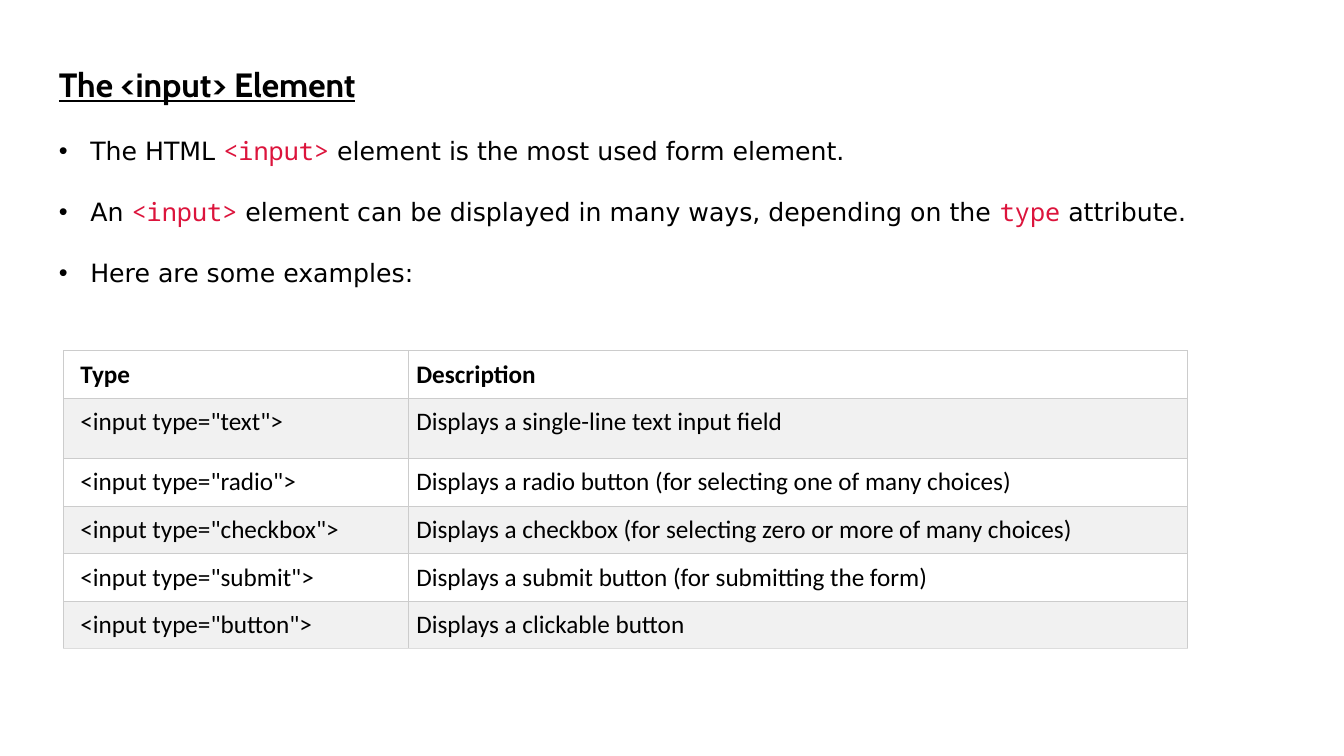
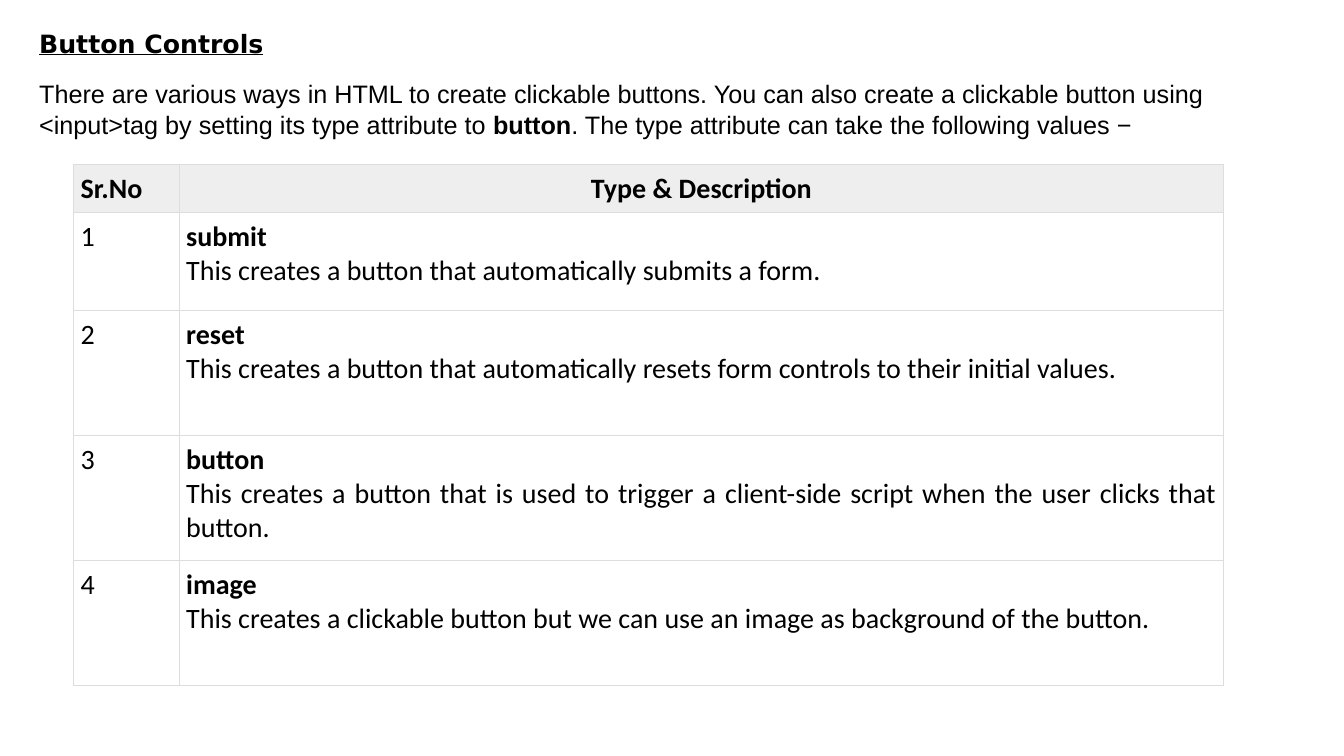
"""Build two slides on HTML input types and button controls."""
from dataclasses import dataclass

from lxml.etree import SubElement
from pptx import Presentation
from pptx.dml.color import RGBColor as Rgb
from pptx.enum.shapes import MSO_SHAPE as Shape
from pptx.enum.text import MSO_ANCHOR as Anchor, MSO_AUTO_SIZE as AutoSize, PP_ALIGN as Align
from pptx.oxml import parse_xml
from pptx.oxml.ns import nsdecls, qn
from pptx.util import Pt


@dataclass(frozen=True)
class Theme:
    ink: str = "000000"
    code: str = "DC143C"
    paper: str = "FFFFFF"
    stripe: str = "F1F1F1"
    header: str = "EEEEEE"
    edge: str = "CCCCCC"
    soft_edge: str = "DDDDDD"
    edge_width: float = 0.75
    title_size: int = 24
    body_size: int = 18
    table_size: int = 20
    bullet_gap: int = 22
    bullet_indent: float = 22.5

    def formats(self):
        body, large = Pt(self.body_size), Pt(self.table_size)
        return {
            "title": dict(name="Cabin", size=Pt(self.title_size), bold=True, underline=True),
            "heading": dict(name="DejaVu Sans", size=body, bold=True, underline=True),
            "bullet": dict(name="DejaVu Sans", size=body),
            "code": dict(name="Noto Sans Mono", size=body),
            "intro": dict(name="Arial", size=body),
            "intro strong": dict(name="Arial", size=body, bold=True),
            "cell": dict(name="Calibri", size=body),
            "cell strong": dict(name="Calibri", size=body, bold=True),
            "large": dict(name="Calibri", size=large),
            "large strong": dict(name="Calibri", size=large, bold=True),
        }


class Deck:
    def __init__(self, theme):
        self.theme = theme
        self.formats = theme.formats()
        self.prs = Presentation()
        self.prs.slide_width, self.prs.slide_height = Pt(960), Pt(540)
        self.slide = None

    def new_slide(self):
        self.slide = self.prs.slides.add_slide(self.prs.slide_layouts[6])

    def set_text(self, frame, paragraphs, align=Align.LEFT):
        for index, runs in enumerate(paragraphs):
            line = frame.add_paragraph() if index else frame.paragraphs[0]
            line.alignment = align
            for words, style in runs:
                run = line.add_run()
                run.text = words
                run.font.color.rgb = Rgb.from_string(
                    self.theme.code if style == "code" else self.theme.ink)
                for key, value in self.formats[style].items():
                    setattr(run.font, key, value)

    def text(self, box, paragraphs, wrap=True):
        frame = self.slide.shapes.add_textbox(*map(Pt, box)).text_frame
        frame.word_wrap = wrap
        frame.auto_size = AutoSize.SHAPE_TO_FIT_TEXT
        self.set_text(frame, paragraphs)

    def bullet_panel(self, box, title, bullets):
        panel = self.slide.shapes.add_shape(Shape.RECTANGLE, *map(Pt, box))
        panel.shadow.inherit = False
        panel.fill.solid()
        panel.fill.fore_color.rgb = Rgb.from_string(self.theme.paper)
        panel.line.fill.background()
        frame = panel.text_frame
        layout = dict(word_wrap=True, auto_size=AutoSize.SHAPE_TO_FIT_TEXT,
                      vertical_anchor=Anchor.MIDDLE, margin_left=0, margin_right=0,
                      margin_top=Pt(6), margin_bottom=Pt(6))
        for key, value in layout.items():
            setattr(frame, key, value)
        self.set_text(frame, [[(title, "title")], *bullets])
        indent = Pt(self.theme.bullet_indent)
        for line in frame.paragraphs[1:]:
            line.space_before = Pt(self.theme.bullet_gap)
            props = line._p.get_or_add_pPr()
            props.set("marL", str(indent))
            props.set("indent", str(-indent))
            SubElement(props, qn("a:buFont")).set("typeface", "Arial")
            SubElement(props, qn("a:buChar")).set("char", "•")

    def table(self, corner, widths, heights, edge):
        size = sum(widths), sum(heights)
        grid = self.slide.shapes.add_table(
            len(heights), len(widths), *map(Pt, (*corner, *size))).table
        grid.first_row = grid.horz_banding = False
        for column, width in zip(grid.columns, widths):
            column.width = Pt(width)
        for row, height in zip(grid.rows, heights):
            row.height = Pt(height)
        last = len(heights) - 1
        for index, row in enumerate(grid.rows):
            bottom = self.theme.soft_edge if index == last else edge
            for cell in row.cells:
                self.border(cell, dict(L=edge, R=edge, T=edge, B=bottom))
        return grid

    def border(self, cell, sides):
        props = cell._tc.get_or_add_tcPr()
        for place, (side, color) in enumerate(sides.items()):
            props.insert(place, parse_xml(
                f'<a:ln{side} {nsdecls("a")} w="{Pt(self.theme.edge_width)}"><a:solidFill>'
                f'<a:srgbClr val="{color}"/></a:solidFill></a:ln{side}>'))

    def cell(self, cell, paragraphs, fill, margin, left=None, align=Align.LEFT):
        cell.fill.solid()
        cell.fill.fore_color.rgb = Rgb.from_string(fill)
        for side in ("left", "right", "top", "bottom"):
            setattr(cell, f"margin_{side}", Pt(margin))
        if left is not None:
            cell.margin_left = Pt(left)
        self.set_text(cell.text_frame, paragraphs, align)


def input_slide(deck):
    theme = deck.theme
    deck.new_slide()
    input_types = [
        ("Type", "Description"),
        ('<input type="text">', "Displays a single-line text input field"),
        ('<input type="radio">', "Displays a radio button (for selecting one of many choices)"),
        ('<input type="checkbox">',
         "Displays a checkbox (for selecting zero or more of many choices)"),
        ('<input type="submit">', "Displays a submit button (for submitting the form)"),
        ('<input type="button">', "Displays a clickable button"),
    ]
    grid = deck.table((45.4, 250.6), (246, 556.6), (34, 43, 34, 34, 34, 34), theme.edge)
    for index, entry in enumerate(input_types):
        style = "cell" if index else "cell strong"
        fill = theme.stripe if index % 2 else theme.paper
        for column, words in enumerate(entry):
            deck.cell(grid.cell(index, column), [[(words, style)]], fill, 6,
                      left=6 if column else 12)
    deck.bullet_panel((42, 39.6, 867.6, 172), "The <input> Element", [
        [("The HTML ", "bullet"), ("<input>", "code"),
         (" element is the most used form element.", "bullet")],
        [("An ", "bullet"), ("<input>", "code"),
         (" element can be displayed in many ways, depending on the ", "bullet"),
         ("type", "code"), (" attribute.", "bullet")],
        [("Here are some examples:", "bullet")],
    ])


def button_slide(deck):
    theme = deck.theme
    deck.new_slide()
    deck.text((20.9, 16.6, 175, 29), [[("Button Controls", "heading")]], wrap=False)
    deck.text((20.9, 52.6, 915, 51), [[
        ("There are various ways in HTML to create clickable buttons. You can also create a "
         "clickable button using <input>tag by setting its type attribute to ", "intro"),
        ("button", "intro strong"),
        (". The type attribute can take the following values −", "intro"),
    ]])
    button_types = [
        ("submit", "This creates a button that automatically submits a form."),
        ("reset", "This creates a button that automatically resets form controls "
                  "to their initial values."),
        ("button", "This creates a button that is used to trigger a client-side script "
                   "when the user clicks that button."),
        ("image", "This creates a clickable button but we can use an image as background "
                  "of the button."),
    ]
    grid = deck.table((52.6, 117.8), (75.4, 746), (34, 70, 89.3, 89.3, 89.3), theme.soft_edge)
    for column, (words, align) in enumerate(
            [("Sr.No", Align.LEFT), ("Type & Description", Align.CENTER)]):
        deck.cell(grid.cell(0, column), [[(words, "large strong")]], theme.header, 5, align=align)
    for number, (kind, meaning) in enumerate(button_types, 1):
        deck.cell(grid.cell(number, 0), [[(str(number), "large")]], theme.paper, 5)
        deck.cell(grid.cell(number, 1), [[(kind, "large strong")], [(meaning, "large")]],
                  theme.paper, 5, align=Align.JUSTIFY)


def main():
    deck = Deck(Theme())
    input_slide(deck)
    button_slide(deck)
    deck.prs.save("out.pptx")


if __name__ == "__main__":
    main()
